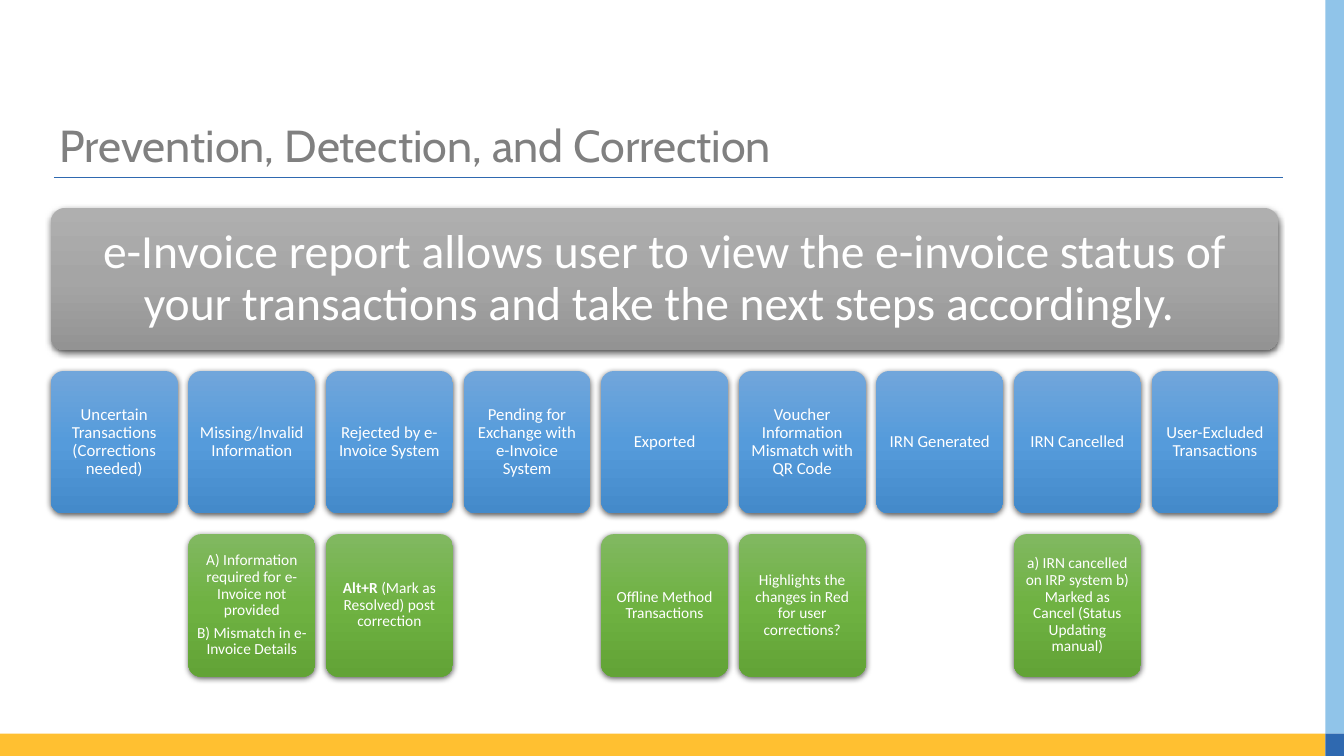
from copy import deepcopy
from lxml import etree
from pptx import Presentation
from pptx import util as u
from pptx.dml.color import RGBColor
from pptx.enum import shapes, text
from pptx.oxml import ns

WHITE, GREY = "FFFFFF", "808080"
GREYS = ["AFAFAF", "A5A5A5", "939393"]
BLUES = ["71A6DB", "559BDB", "448ACA"]
GREENS = ["81B861", "6FB242", "62A336"]

# Grid in cm
LEFT, TOP, WIDE = 1.28, 5.24, 30.94
CARD_W, CARD_H, ROW = 3.2, 3.59, 4.11

# Status cards, each with the paragraphs of the note below it;
# a paragraph is a list of (words, bold) runs
STATUS = [
    ("Uncertain Transactions (Corrections needed)", []),
    ("Missing/Invalid Information",
     [[("A) Information required for e-Invoice not provided", False)],
      [("B) Mismatch in e-Invoice Details", False)]]),
    ("Rejected by e-Invoice System",
     [[("Alt+R", True), (" (Mark as Resolved) post correction", False)]]),
    ("Pending for Exchange with e-Invoice System", []),
    ("Exported", [[("Offline Method Transactions", False)]]),
    ("Voucher Information Mismatch with QR Code",
     [[("Highlights the changes in Red for user corrections?", False)]]),
    ("IRN Generated", []),
    ("IRN Cancelled",
     [[("a) IRN cancelled on IRP system b) Marked as Cancel "
        "(Status Updating manual)", False)]]),
    ("User-Excluded Transactions", []),
]
STEP = (WIDE - CARD_W) / (len(STATUS) - 1)


def rgb(code):
    return RGBColor.from_string(code)


def add_card(x, row, w, tones, paras, size, pad):
    card = slide.shapes.add_shape(
        shapes.MSO_SHAPE.ROUNDED_RECTANGLE,
        u.Cm(x), u.Cm(TOP + row * ROW), u.Cm(w), u.Cm(CARD_H))
    card.adjustments[0] = 0.1
    card.line.fill.background()

    # Three-tone fill from top to bottom
    card.fill.gradient()
    card.fill.gradient_angle = 270
    props = card._element.spPr
    stops = props.find(".//" + ns.qn("a:gsLst"))
    stops.append(deepcopy(stops[0]))
    for i, (stop, tone) in enumerate(zip(card.fill.gradient_stops, tones)):
        stop.position = i / 2
        stop.color.rgb = rgb(tone)

    # Soft shadow below
    card.shadow.inherit = False
    glow = etree.SubElement(
        props.find(ns.qn("a:effectLst")), ns.qn("a:outerShdw"),
        blurRad=str(u.Pt(4.5)), dist=str(u.Pt(1.5)), dir="5400000",
        algn="ctr", rotWithShape="0")
    black = etree.SubElement(glow, ns.qn("a:srgbClr"), val="000000")
    etree.SubElement(black, ns.qn("a:alpha"), val="63000")

    # Words
    frame = card.text_frame
    frame.word_wrap = True
    frame.vertical_anchor = text.MSO_ANCHOR.MIDDLE
    frame.margin_left = frame.margin_right = u.Cm(pad)
    frame.margin_top = frame.margin_bottom = u.Cm(pad)
    for i, runs in enumerate(paras):
        para = frame.add_paragraph() if i else frame.paragraphs[0]
        para.alignment = text.PP_ALIGN.CENTER
        para.line_spacing = 0.9
        para.space_after = u.Pt(round(size * 0.35))
        for words, bold in runs:
            run = para.add_run()
            run.text = words
            run.font.name = "Calibri"
            run.font.size = u.Pt(size)
            run.font.bold = bold
            run.font.color.rgb = rgb(WHITE)


deck = Presentation()
deck.slide_width, deck.slide_height = u.Cm(33.87), u.Cm(19.05)
slide = deck.slides.add_slide(deck.slide_layouts[6])

# Edge bands: bottom, right, corner
for x, y, w, h, tone in [(0, 18.49, 33.4, 0.56, "FFC031"),
                         (33.4, 0, 0.47, 18.49, "90C4E9"),
                         (33.4, 18.49, 0.47, 0.56, "2F69B0")]:
    band = slide.shapes.add_shape(shapes.MSO_SHAPE.RECTANGLE,
                                  u.Cm(x), u.Cm(y), u.Cm(w), u.Cm(h))
    band.fill.solid()
    band.fill.fore_color.rgb = rgb(tone)
    band.line.fill.background()
    band.shadow.inherit = False

# Title and its rule
rule = slide.shapes.add_connector(shapes.MSO_CONNECTOR.STRAIGHT,
                                  u.Cm(1.36), u.Cm(4.47),
                                  u.Cm(32.34), u.Cm(4.47))
rule.line.color.rgb = rgb("2F69B0")
rule.line.width = u.Pt(0.82)
etree.SubElement(rule._element.spPr, ns.qn("a:effectLst"))

title = slide.shapes.add_textbox(u.Cm(1.25), u.Cm(3), u.Cm(31), u.Cm(1.27))
title.text_frame.word_wrap = True
para = title.text_frame.paragraphs[0]
para.line_spacing = 0.9
run = para.add_run()
run.text = "Prevention, Detection, and Correction"
run.font.name = "Cabin"
run.font.size = u.Pt(32)
run.font.color.rgb = rgb(GREY)

# Banner
add_card(LEFT, 0, WIDE, GREYS,
         [[("e-Invoice report allows user to view the e-invoice status of "
            "your transactions and take the next steps accordingly. ",
            False)]], 34, 0.36)

# Status row and notes
for i, (name, notes) in enumerate(STATUS):
    x = LEFT + i * STEP
    add_card(x, 1, CARD_W, BLUES, [[(name, False)]], 12, 0.13)
    if notes:
        add_card(x, 2, CARD_W, GREENS, notes, 11, 0.12)

deck.save("out.pptx")
